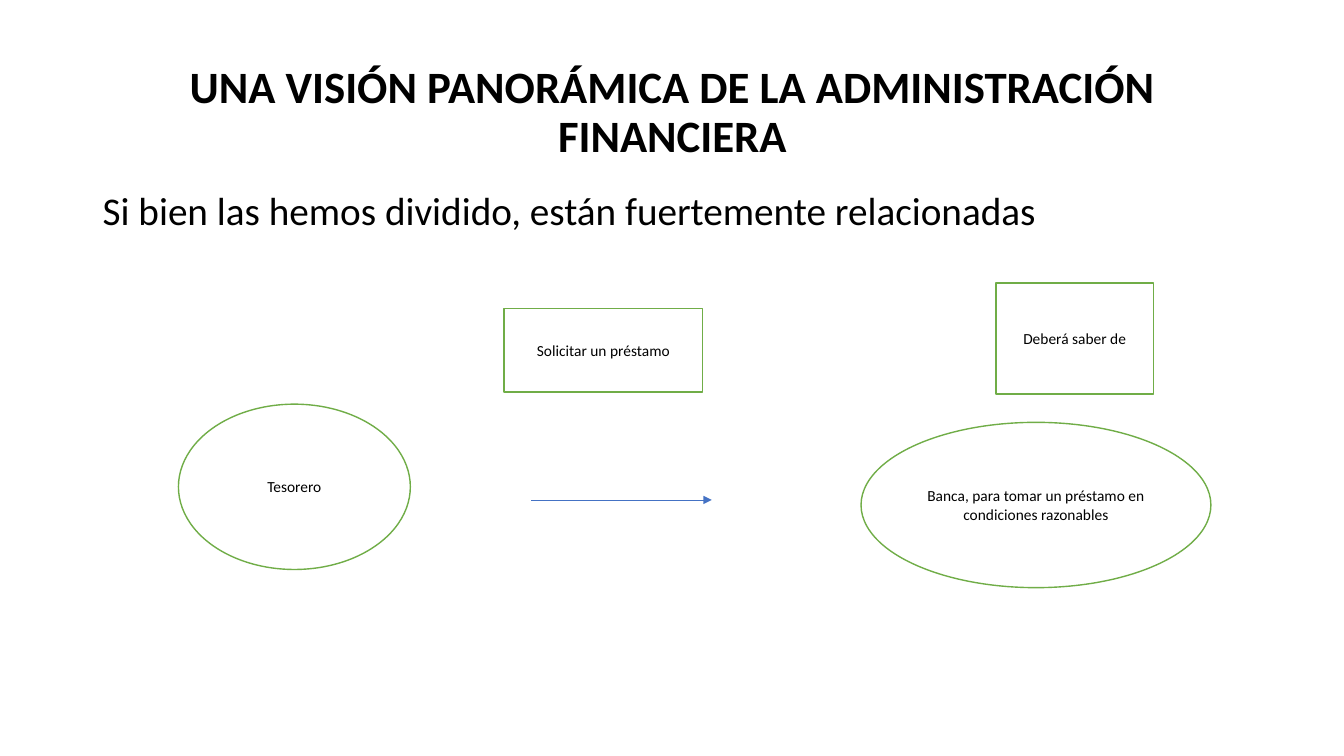
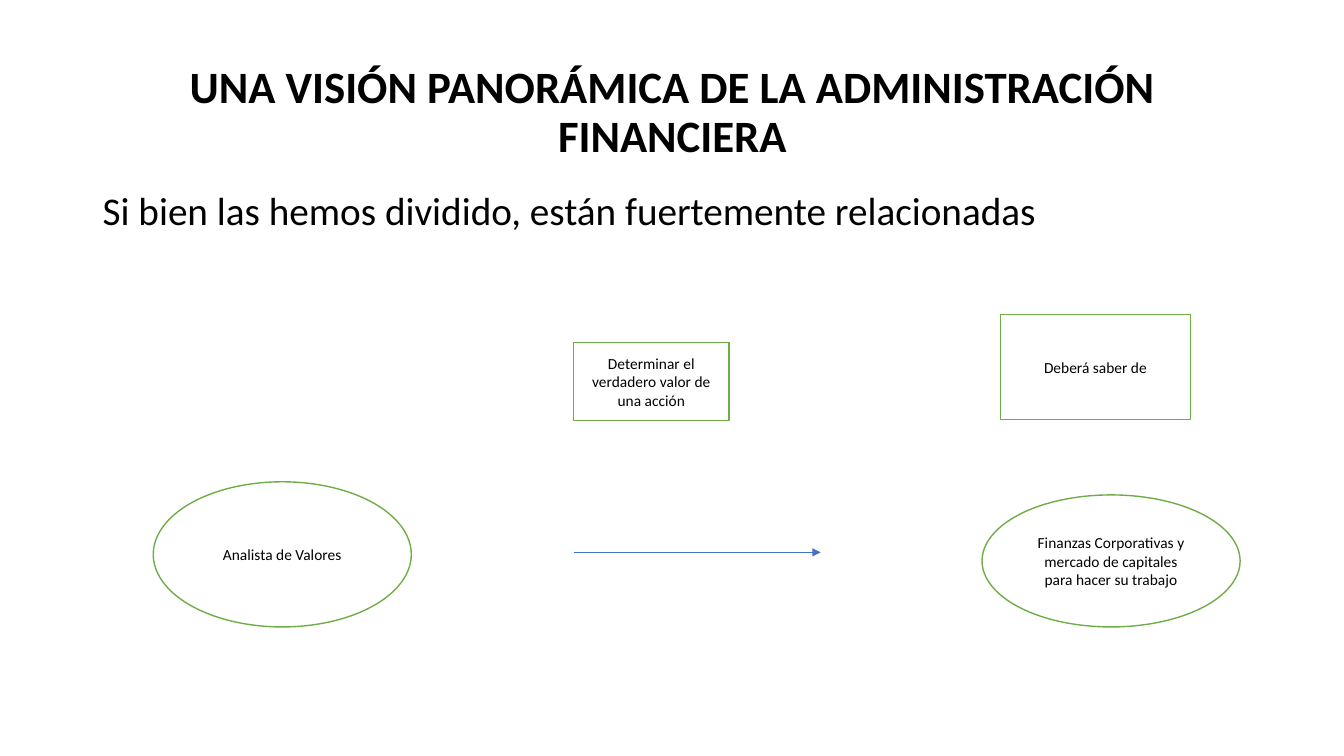
"""Builds two slides relating finance roles to the knowledge they need."""
from lxml.etree import SubElement
from pptx import Presentation
from pptx.dml.color import RGBColor
from pptx.enum.shapes import MSO_CONNECTOR, MSO_SHAPE
from pptx.enum.text import MSO_ANCHOR, MSO_AUTO_SIZE, PP_ALIGN
from pptx.oxml.ns import qn
from pptx.util import Inches, Pt

FONT = "Calibri"
BLACK, WHITE, GREEN, BLUE = "000000", "FFFFFF", "70AD47", "4472C4"
TITLE = "UNA VISIÓN PANORÁMICA DE LA ADMINISTRACIÓN FINANCIERA"
STATEMENT = "Si bien las hemos dividido, están fuertemente relacionadas"
TITLE_BOX = (0.92, 0.4, 11.5, 1.45)
STATEMENT_BOX = (0.92, 1.85, 11.5, 4.76)
OVAL, BOX = MSO_SHAPE.OVAL, MSO_SHAPE.RECTANGLE

SLIDES = [
    {
        "arrow": (5.27, 7.06, 4.96),
        "nodes": [
            (OVAL, "Tesorero", (1.77, 4.01, 2.3, 1.64)),
            (OVAL, "Banca, para tomar un préstamo en condiciones razonables",
             (8.54, 4.19, 3.47, 1.64)),
            (BOX, "Solicitar un préstamo", (5, 3.06, 1.97, 0.83)),
            (BOX, "Deberá saber de", (9.88, 2.81, 1.56, 1.1)),
        ],
    },
    {
        "arrow": (5.69, 8.14, 5.48),
        "nodes": [
            (OVAL, "Analista de Valores", (1.52, 4.78, 2.56, 1.44)),
            (OVAL, "Finanzas Corporativas y mercado de capitales para hacer su trabajo",
             (9.74, 4.91, 2.56, 1.31)),
            (BOX, "Determinar el verdadero valor de una acción", (5.69, 3.4, 1.54, 0.77)),
            (BOX, "Deberá saber de", (9.92, 3.12, 1.89, 1.04)),
        ],
    },
]


def color(hex_string):
    """Turn a hex string into a colour."""
    return RGBColor.from_string(hex_string)


def place(shape, box):
    """Move and size a shape from lengths in inches."""
    shape.left, shape.top, shape.width, shape.height = map(Inches, box)


def write(shape, text, size, align, anchor, bold=False, line_spacing=1.0):
    """Write one formatted paragraph into a shape."""
    frame = shape.text_frame
    frame.word_wrap = True
    frame.auto_size = MSO_AUTO_SIZE.NONE
    frame.vertical_anchor = anchor
    paragraph = frame.paragraphs[0]
    paragraph.alignment = align
    paragraph.line_spacing = line_spacing
    run = paragraph.add_run()
    run.text = text
    run.font.name = FONT
    run.font.size = Pt(size)
    run.font.bold = bold
    run.font.color.rgb = color(BLACK)


def add_heading(slide):
    """Add the title and the statement that every slide shares."""
    title = slide.shapes.title
    place(title, TITLE_BOX)
    write(title, TITLE, 32, PP_ALIGN.CENTER, MSO_ANCHOR.MIDDLE, True, 0.9)
    statement = slide.shapes.add_textbox(*map(Inches, STATEMENT_BOX))
    write(statement, STATEMENT, 28, PP_ALIGN.LEFT, MSO_ANCHOR.TOP, line_spacing=0.9)


def add_arrow(slide, start, end, height):
    """Add a horizontal arrow pointing right."""
    arrow = slide.shapes.add_connector(
        MSO_CONNECTOR.STRAIGHT, *map(Inches, (start, height, end, height)))
    arrow.line.color.rgb = color(BLUE)
    arrow.line.width = Pt(0.5)
    SubElement(arrow.line._get_or_add_ln(), qn("a:tailEnd"), type="triangle")
    SubElement(arrow._element.spPr, qn("a:effectLst"))


def add_node(slide, kind, text, box):
    """Add an outlined shape with centred text."""
    node = slide.shapes.add_shape(kind, *map(Inches, box))
    node.shadow.inherit = False
    node.fill.solid()
    node.fill.fore_color.rgb = color(WHITE)
    node.line.color.rgb = color(GREEN)
    node.line.width = Pt(1)
    write(node, text, 11, PP_ALIGN.CENTER, MSO_ANCHOR.MIDDLE)


def main():
    """Build and save the presentation."""
    presentation = Presentation()
    presentation.slide_width, presentation.slide_height = Inches(13.33), Inches(7.5)
    for content in SLIDES:
        slide = presentation.slides.add_slide(presentation.slide_layouts[5])
        add_heading(slide)
        add_arrow(slide, *content["arrow"])
        for node in content["nodes"]:
            add_node(slide, *node)
    presentation.save("out.pptx")


if __name__ == "__main__":
    main()
